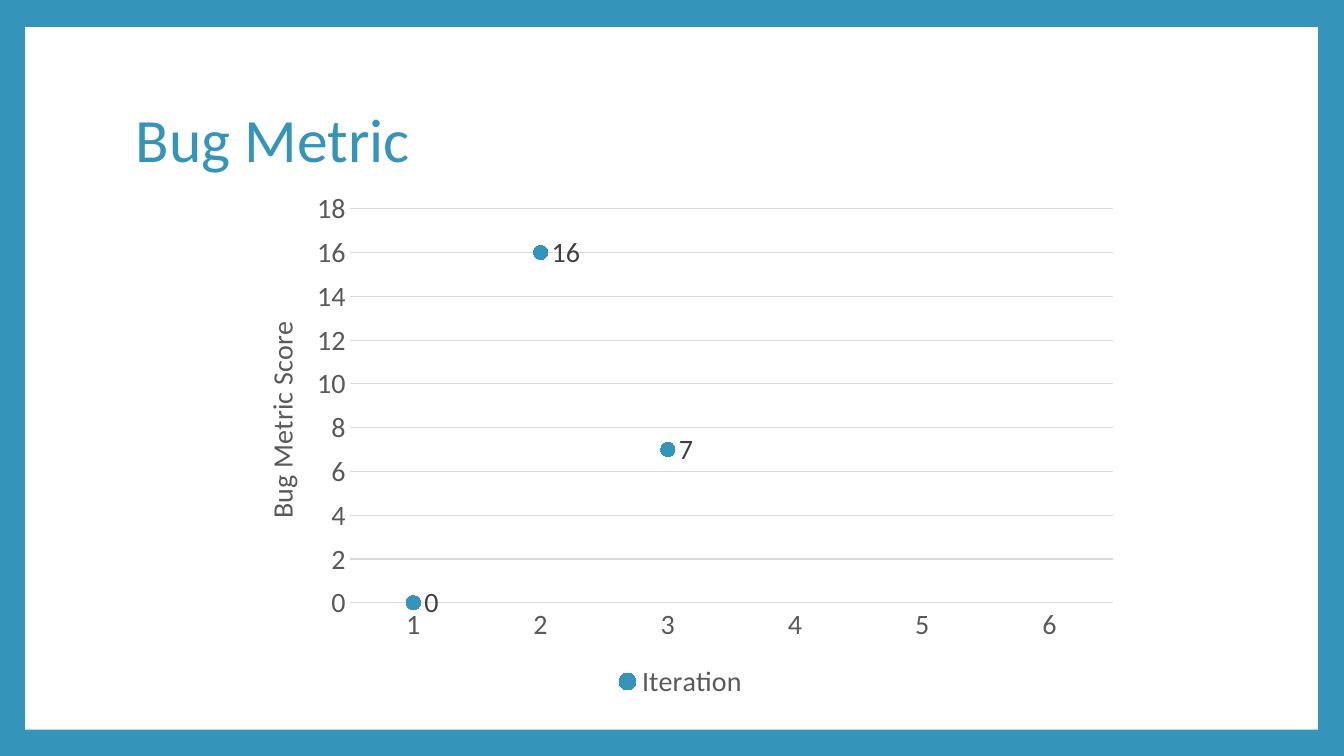
import pptx
import pptx.chart.data
import pptx.dml.color
import pptx.enum.chart
import pptx.enum.shapes
import pptx.enum.text
import pptx.oxml
import pptx.oxml.ns
import pptx.util

COLORS = {
    "accent": "3494BA",
    "panel": "FFFFFF",
    "axis": "595959",
    "grid": "D9D9D9",
    "label": "404040",
}
Inches, Pt = pptx.util.Inches, pptx.util.Pt
qn = pptx.oxml.ns.qn


def style_font(font, size, color):
    """Set the typeface, size and colour of a font."""
    font.name = "Calibri"
    font.size = Pt(size)
    font.bold = False
    font.color.rgb = pptx.dml.color.RGBColor.from_string(COLORS[color])


def set_layout(parent, index, **values):
    """Place a chart part by fractions of the chart size."""
    for old in parent.findall(qn("c:layout")):
        parent.remove(old)
    items = "".join(f'<c:{k} val="{v}"/>' for k, v in values.items())
    parent.insert(index, pptx.oxml.parse_xml(
        f'<c:layout {pptx.oxml.ns.nsdecls("c")}>'
        f"<c:manualLayout>{items}</c:manualLayout></c:layout>"))


rgb = {k: pptx.dml.color.RGBColor.from_string(v) for k, v in COLORS.items()}
prs = pptx.Presentation()
prs.slide_width, prs.slide_height = Inches(13.33), Inches(7.5)
s = prs.slides.add_slide(prs.slide_layouts[6])
s.background.fill.solid()
s.background.fill.fore_color.rgb = rgb["accent"]

# White panel
sp = s.shapes.add_shape(pptx.enum.shapes.MSO_SHAPE.RECTANGLE,
                        Inches(0.25), Inches(0.27), Inches(12.82), Inches(6.97))
sp.shadow.inherit = False
sp.fill.solid()
sp.fill.fore_color.rgb = rgb["panel"]
sp.line.fill.background()

# Title
sp = s.shapes.add_textbox(Inches(1.25), Inches(0.67), Inches(10.8), Inches(1.48))
tf = sp.text_frame
tf.word_wrap = True
tf.vertical_anchor = pptx.enum.text.MSO_ANCHOR.MIDDLE
p = tf.paragraphs[0]
p.text = "Bug Metric"
p.line_spacing = 0.9
style_font(p.runs[0].font, 44, "accent")

# Chart of scores per iteration
data = pptx.chart.data.CategoryChartData()
data.categories = ["1", "2", "3", "4", "5", "6"]
data.add_series("Iteration", [0, 16, 7, None, None, None])
chart = s.shapes.add_chart(pptx.enum.chart.XL_CHART_TYPE.LINE_MARKERS,
                           Inches(2.28), Inches(1.79), Inches(8.94), Inches(5.2),
                           data).chart
style_font(chart.font, 20, "axis")
chart.has_title = False
chart.has_legend = True
chart.legend.position = pptx.enum.chart.XL_LEGEND_POSITION.BOTTOM
chart.legend.include_in_layout = False
style_font(chart.legend.font, 20, "axis")
set_layout(chart.plots[0]._element.getparent(), 0, layoutTarget="inner",
           xMode="edge", yMode="edge", x=0.133, y=0.054, w=0.847, h=0.752)

scores, iterations = chart.value_axis, chart.category_axis
for axis in (scores, iterations):
    axis.major_tick_mark = pptx.enum.chart.XL_TICK_MARK.NONE
    axis.minor_tick_mark = pptx.enum.chart.XL_TICK_MARK.NONE
    style_font(axis.tick_labels.font, 20, "axis")
scores.minimum_scale, scores.maximum_scale, scores.major_unit = 0, 18, 2
scores.format.line.fill.background()
for line in (iterations.format.line, scores.major_gridlines.format.line):
    line.color.rgb = rgb["grid"]
    line.width = Pt(0.75)

title = scores.axis_title
tf = title.text_frame
tf.text = "Bug Metric Score"
style_font(tf.paragraphs[0].runs[0].font, 20, "axis")
body = tf._txBody.find(qn("a:bodyPr"))
body.set("rot", "-5400000")
body.set("vert", "horz")
set_layout(title._element, 1, xMode="edge", yMode="edge", x=0.03, y=0.26)

# Markers without a joining line
plot = chart.plots[0]
plot.vary_by_categories = False
series = plot.series[0]
series.smooth = False
series.format.line.fill.background()
marker = series.marker
marker.style = pptx.enum.chart.XL_MARKER_STYLE.CIRCLE
marker.size = 10
marker.format.fill.solid()
marker.format.fill.fore_color.rgb = rgb["accent"]
marker.format.line.color.rgb = rgb["accent"]
labels = series.data_labels
labels.show_value = True
labels.position = pptx.enum.chart.XL_LABEL_POSITION.RIGHT
style_font(labels.font, 20, "label")

prs.save("out.pptx")
